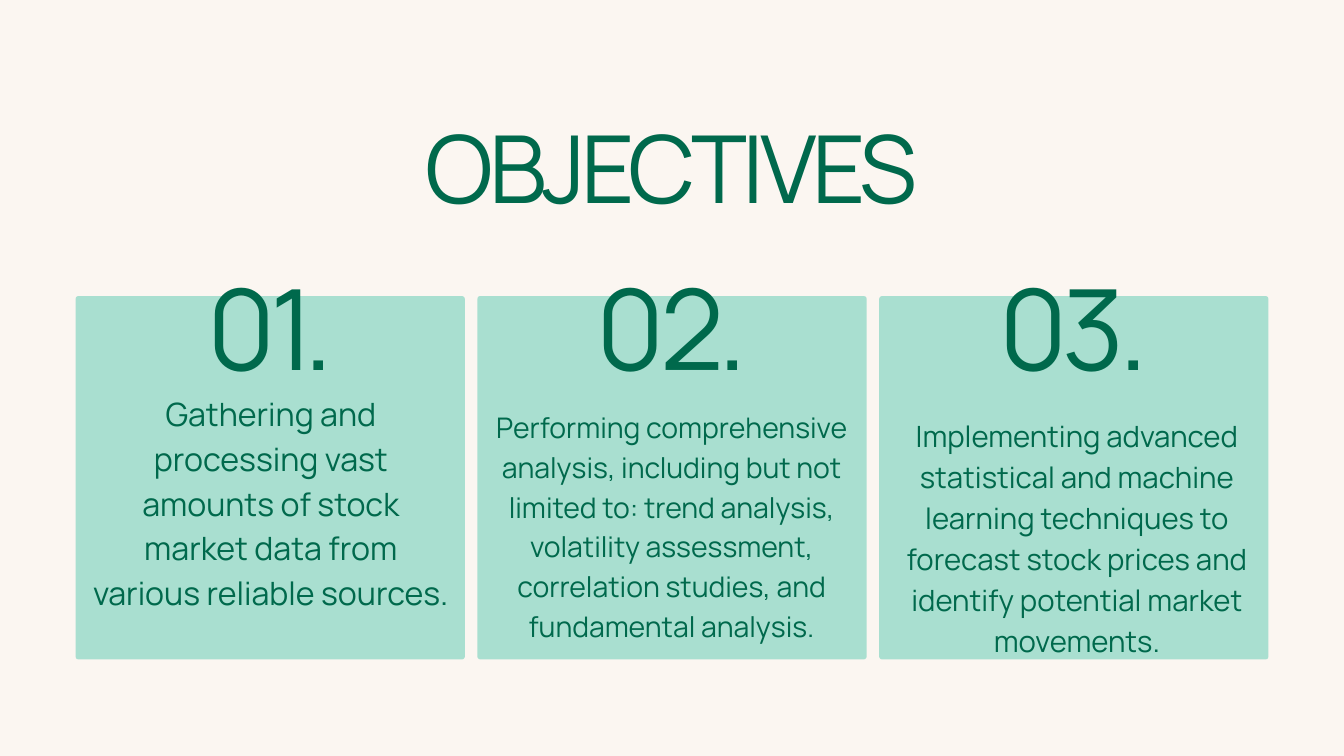
from pptx import Presentation
from pptx.dml.color import RGBColor as RGB
from pptx.enum.shapes import MSO_SHAPE as Shape
from pptx.enum.text import MSO_AUTO_SIZE as Fit, PP_ALIGN as Align
from pptx.util import Emu, Pt

PX = 9525
WIDE, HIGH = 1920, 1080
FONT = "Manrope"
COLORS = {"page": "FBF6F1", "card": "A9DFD0", "text": "00694C"}

LEFT, TOP, STEP = 108, 423, 574
CARD_W, CARD_H, ROUND = 556, 519, 4
NUM_W, NUM_H, NUM_TOP = 254, 157, 417

# text, box (left, top, width, height), size, line spacing
GOALS = [
    ("Gathering and processing vast amounts of stock market data "
     "from various reliable sources.",
     (129, 554, 516, 383), 34.4, 48.1),
    ("Performing comprehensive analysis, including but not limited to: "
     "trend analysis, volatility assessment, correlation studies, "
     "and fundamental analysis.",
     (696, 578, 527, 335), 30.4, 42.6),
    ("Implementing advanced statistical and machine learning techniques "
     "to forecast stock prices and identify potential market movements.",
     (1271, 589, 535, 347), 31.4, 44),
]


def px(*nums):
    return [Emu(n * PX) for n in nums]


def color(name):
    return RGB.from_string(COLORS[name])


class Deck:
    def __init__(self):
        self.prs = Presentation()
        self.prs.slide_width, self.prs.slide_height = px(WIDE, HIGH)
        self.slide = self.prs.slides.add_slide(self.prs.slide_layouts[6])
        fill = self.slide.background.fill
        fill.solid()
        fill.fore_color.rgb = color("page")

    def card(self, *box):
        card = self.slide.shapes.add_shape(Shape.ROUNDED_RECTANGLE, *px(*box))
        card.adjustments[0] = ROUND / min(box[2:])
        card.shadow.inherit = False
        card.fill.solid()
        card.fill.fore_color.rgb = color("card")
        card.line.fill.background()

    def text(self, words, box, size, lead, track=0):
        """Add centred text; lead is line spacing, track letter spacing, in points."""
        frame = self.slide.shapes.add_textbox(*px(*box)).text_frame
        frame.margin_left = frame.margin_right = 0
        frame.margin_top = frame.margin_bottom = 0
        frame.word_wrap = True
        frame.auto_size = Fit.SHAPE_TO_FIT_TEXT
        frame.text = words
        para = frame.paragraphs[0]
        para.alignment = Align.CENTER
        para.line_spacing = Pt(lead)
        for run in para.runs:
            run.font.name = FONT
            run.font.size = Pt(size)
            run.font.color.rgb = color("text")
            if track:
                run._r.get_or_add_rPr().set("spc", str(round(track * 100)))


def main():
    deck = Deck()
    deck.text("OBJECTIVES", (232, 197, 1454, 132), 100.4, 90.4, -4.6)
    for i, (words, box, size, lead) in enumerate(GOALS):
        left = LEFT + i * STEP
        deck.card(left, TOP, CARD_W, CARD_H)
        num = (left + (CARD_W - NUM_W) // 2, NUM_TOP, NUM_W, NUM_H)
        deck.text(f"{i + 1:02}.", num, 120, 108, -5.5)
        deck.text(words, box, size, lead)
    deck.prs.save("out.pptx")


if __name__ == "__main__":
    main()
